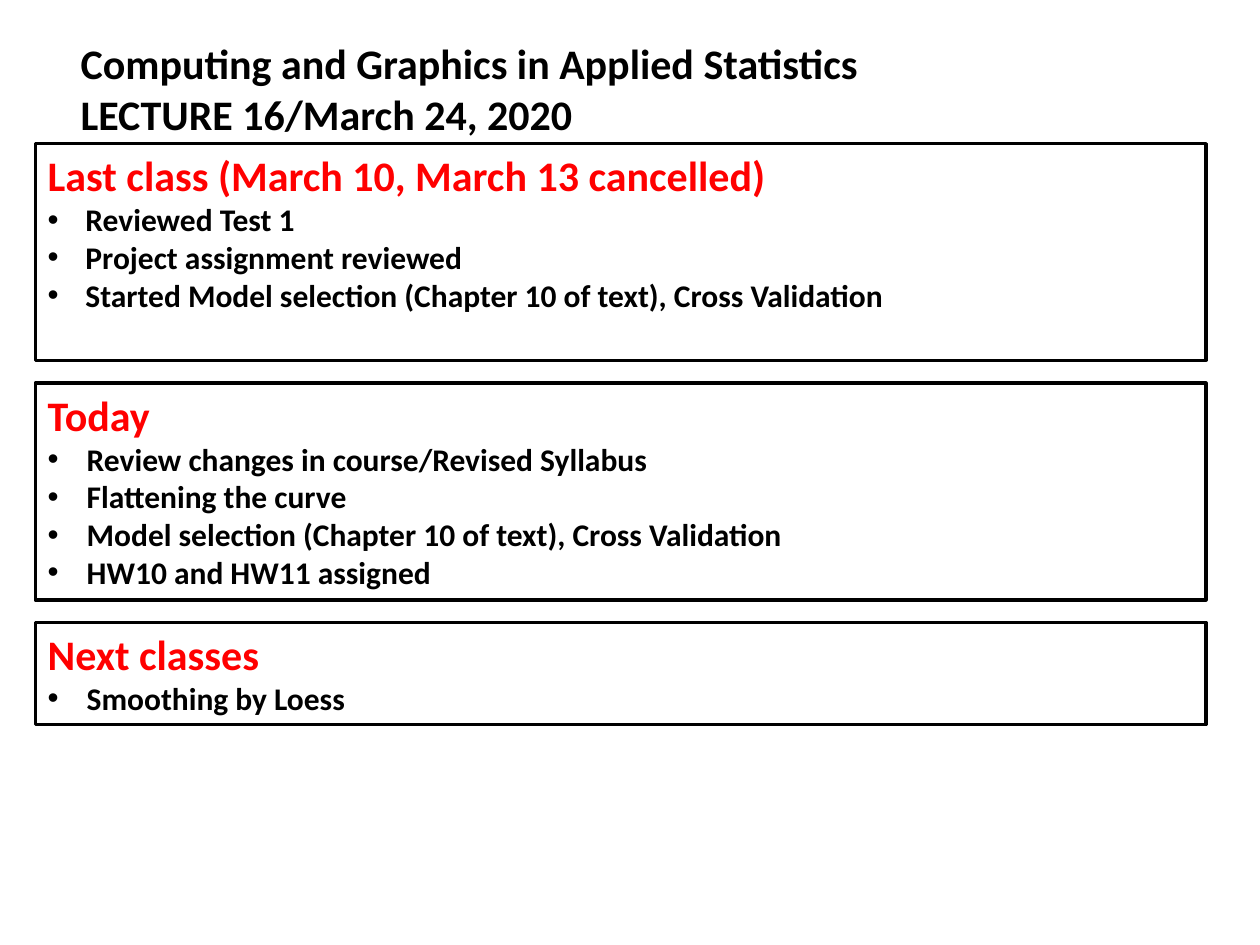
"""Build the lecture agenda slide: a title and three outlined boxes of bullets."""
from lxml.etree import SubElement
from pptx import Presentation
from pptx.dml.color import RGBColor
from pptx.enum.shapes import MSO_SHAPE
from pptx.enum.text import MSO_ANCHOR, MSO_AUTO_SIZE, PP_ALIGN
from pptx.oxml.ns import qn
from pptx.util import Inches, Pt


def style_line(paragraph, size, color, indent=0):
    """Format one left-aligned bold line, bulleted when it has an indent."""
    paragraph.alignment = PP_ALIGN.LEFT
    paragraph.line_spacing = 1.0
    paragraph.space_before = Pt(0)
    if indent:
        properties = paragraph._p.get_or_add_pPr()
        properties.set("marL", str(Inches(indent)))
        properties.set("indent", str(-Inches(indent)))
        SubElement(properties, qn("a:buFont"), typeface="Arial")
        SubElement(properties, qn("a:buChar"), char="•")
    for run in paragraph.runs:
        run.font.name = "Calibri"
        run.font.size = Pt(size)
        run.font.bold = True
        run.font.color.rgb = RGBColor.from_string(color)


def prepare_frame(frame):
    """Wrap the text and start it at the top."""
    frame.word_wrap = True
    frame.auto_size = MSO_AUTO_SIZE.NONE
    frame.vertical_anchor = MSO_ANCHOR.TOP


BLACK, RED, WHITE = "000000", "FF0000", "FFFFFF"
LEFT, TOP, WIDTH, ROW_PITCH = 0.28, 1.14, 9.29, 1.9

agenda = [
    ("Last class (March 10, March 13 cancelled)", 1.72, 0.3, [
        "Reviewed Test 1",
        "Project assignment reviewed",
        "Started Model selection (Chapter 10 of text), Cross Validation",
    ]),
    ("Today", 1.72, 0.31, [
        "Review changes in course/Revised Syllabus",
        "Flattening the curve",
        "Model selection (Chapter 10 of text), Cross Validation",
        "HW10 and HW11 assigned",
    ]),
    ("Next classes", 0.81, 0.31, ["Smoothing by Loess"]),
]

presentation = Presentation()
presentation.slide_width = Inches(10)
presentation.slide_height = Inches(7.5)
slide = presentation.slides.add_slide(presentation.slide_layouts[5])

title = slide.shapes.title
title.left, title.top = Inches(0.54), Inches(0.25)
title.width, title.height = Inches(8), Inches(1.31)
title.text_frame.text = (
    "Computing and Graphics in Applied Statistics\nLECTURE 16/March 24, 2020"
)
prepare_frame(title.text_frame)
for line in title.text_frame.paragraphs:
    style_line(line, 24, BLACK)

for row, (heading, height, indent, topics) in enumerate(agenda):
    section = slide.shapes.add_shape(
        MSO_SHAPE.RECTANGLE,
        Inches(LEFT), Inches(TOP + row * ROW_PITCH), Inches(WIDTH), Inches(height),
    )
    section.shadow.inherit = False
    section.fill.solid()
    section.fill.fore_color.rgb = RGBColor.from_string(WHITE)
    section.line.color.rgb = RGBColor.from_string(BLACK)
    section.line.width = Pt(2)
    section.text_frame.text = "\n".join([heading, *topics])
    prepare_frame(section.text_frame)
    heading_line, *topic_lines = section.text_frame.paragraphs
    style_line(heading_line, 24, RED)
    for topic_line in topic_lines:
        style_line(topic_line, 18, BLACK, indent)

presentation.save("out.pptx")
